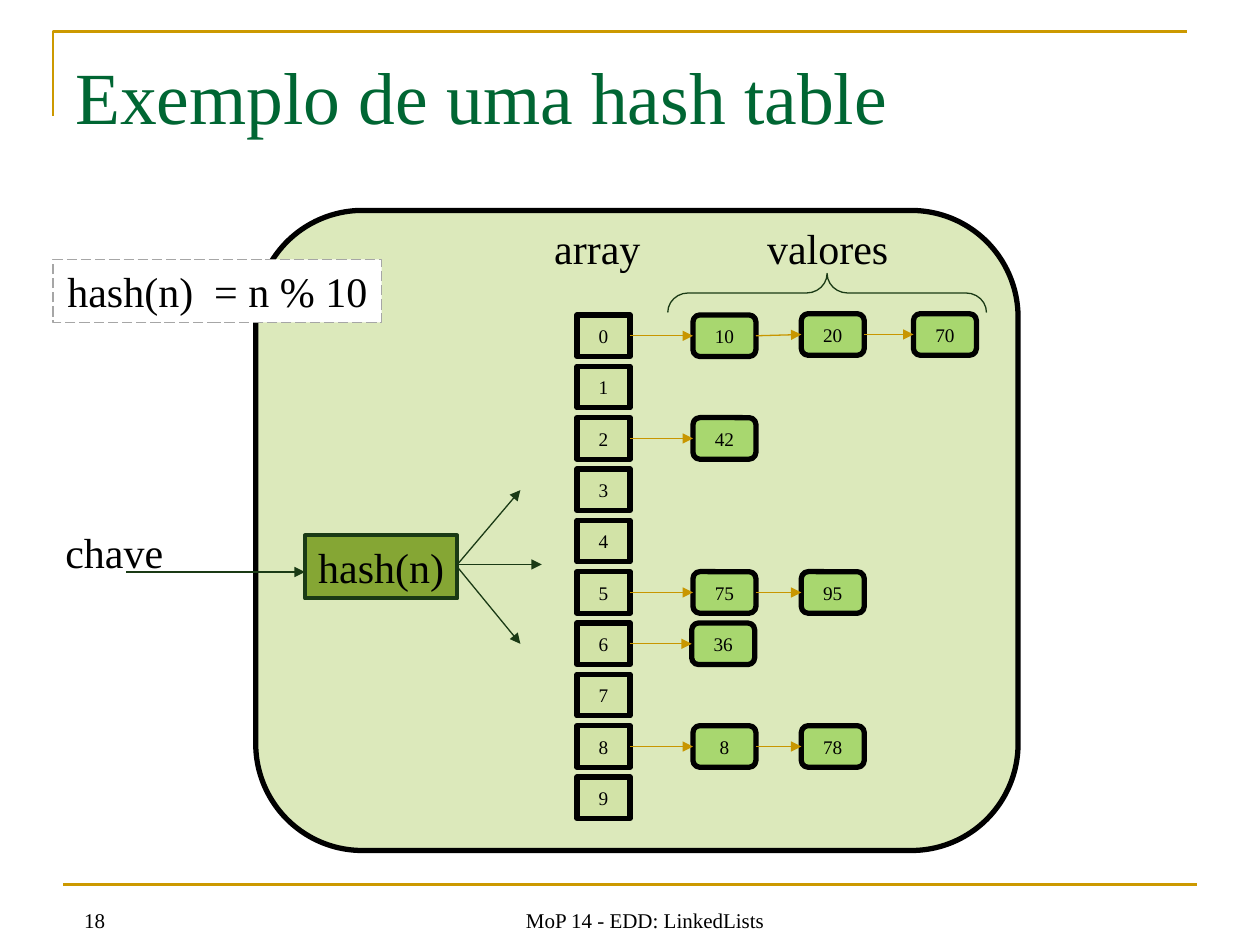
import pptx
import pptx.util
import pptx.dml.color
import pptx.enum.dml
import pptx.enum.shapes
import pptx.enum.text
import pptx.oxml
import pptx.oxml.ns
from pptx.util import Inches

SHAPES = pptx.enum.shapes.MSO_SHAPE
ALIGN = pptx.enum.text.PP_ALIGN
ANCHOR = pptx.enum.text.MSO_ANCHOR
BLACK, GOLD, DARK_GREEN = "000000", "C89600", "1A3A15"
PALE_GREEN, BRIGHT_GREEN = "CEE19F", "92D050"

presentation = pptx.Presentation()
presentation.slide_width = Inches(10)
presentation.slide_height = Inches(7.5)
slide = presentation.slides.add_slide(presentation.slide_layouts[6])


def color(value):
    return pptx.dml.color.RGBColor.from_string(value)


def add_item(kind, box, fill=None, line=None, width=0.75, text="", size=24,
             text_color=BLACK, align=ALIGN.CENTER, anchor=ANCHOR.MIDDLE,
             alpha=None, wrap=False):
    """Add a preset shape, or a text box when kind is None."""
    box = [Inches(length) for length in box]
    if kind is None:
        shape = slide.shapes.add_textbox(*box)
    else:
        shape = slide.shapes.add_shape(kind, *box)
        shape.shadow.inherit = False
    if fill:
        shape.fill.solid()
        shape.fill.fore_color.rgb = color(fill)
        if alpha:
            fill_color = shape.fill._xPr.find(".//" + pptx.oxml.ns.qn("a:srgbClr"))
            fill_color.append(pptx.oxml.parse_xml(
                f'<a:alpha {pptx.oxml.ns.nsdecls("a")} val="{alpha * 1000}"/>'))
    else:
        shape.fill.background()
    if line:
        shape.line.color.rgb = color(line)
        shape.line.width = pptx.util.Pt(width)
    if text:
        frame = shape.text_frame
        frame.word_wrap = wrap
        frame.vertical_anchor = anchor
        paragraph = frame.paragraphs[0]
        paragraph.alignment = align
        run = paragraph.add_run()
        run.text = text
        run.font.name = "Times New Roman"
        run.font.size = pptx.util.Pt(size)
        run.font.color.rgb = color(text_color)
    return shape


def add_line(start, end, line, width=0.75, arrow=True):
    """Add a straight connector, with an arrowhead at its end by default."""
    connector = slide.shapes.add_connector(
        pptx.enum.shapes.MSO_CONNECTOR.STRAIGHT,
        *[Inches(length) for length in (*start, *end)])
    connector.line.color.rgb = color(line)
    connector.line.width = pptx.util.Pt(width)
    namespace = pptx.oxml.ns.nsdecls("a")
    if arrow:
        connector.line._get_or_add_ln().append(
            pptx.oxml.parse_xml(f'<a:tailEnd {namespace} type="triangle"/>'))
    connector._element.spPr.append(pptx.oxml.parse_xml(f"<a:effectLst {namespace}/>"))


# Frame lines
add_line((0.5, 7.02), (9.5, 7.02), "CC9900", 1.5, arrow=False)
builder = slide.shapes.build_freeform(Inches(0.42), Inches(0.92), scale=1.0)
builder.add_line_segments(
    [(Inches(0.42), Inches(0.25)), (Inches(9.42), Inches(0.25))], close=False)
corner = builder.convert_to_shape()
corner.shadow.inherit = False
corner.fill.background()
corner.line.color.rgb = color("CC9900")
corner.line.width = pptx.util.Pt(1.5)

# Title, slide number and footer
add_item(None, (0.5, 0.3, 9, 0.85), text="Exemplo de uma hash table", size=42,
         text_color="006633", align=ALIGN.LEFT, anchor=ANCHOR.BOTTOM, wrap=True)
add_item(None, (0.57, 7.15, 0.38, 0.3), text="18", size=12,
         align=ALIGN.LEFT, anchor=ANCHOR.TOP)
add_item(None, (3.08, 7.1, 4.08, 0.35), text="MoP 14 - EDD: LinkedLists", size=12,
         anchor=ANCHOR.BOTTOM, wrap=True)

# Hash table container
add_item(SHAPES.ROUNDED_RECTANGLE, (2.03, 1.67, 6.05, 5.08), PALE_GREEN, BLACK, 3,
         alpha=70)

# Array cells
array_left, array_width, cell_height = 4.58, 0.42, 0.33
array_top, row_pitch = 2.5, 0.4075
for index in range(10):
    add_item(SHAPES.RECTANGLE,
             (array_left, array_top + index * row_pitch, array_width, cell_height),
             PALE_GREEN, BLACK, 3, str(index), 11, alpha=70)

# Chained values: array index -> (value, left, vertical offset)
chains = {
    0: [("10", 5.5, 0), ("20", 6.36, -0.01), ("70", 7.25, -0.01)],
    2: [("42", 5.5, 0)],
    5: [("75", 5.5, 0), ("95", 6.36, 0)],
    6: [("36", 5.49, 0)],
    8: [("8", 5.5, 0), ("78", 6.36, 0)],
}
value_width = 0.5
for index, chain in chains.items():
    row_top = array_top + index * row_pitch
    previous = (array_left + array_width, row_top + cell_height / 2)
    for value, left, offset in chain:
        top = row_top + offset
        middle = top + cell_height / 2
        add_item(SHAPES.ROUNDED_RECTANGLE, (left, top, value_width, cell_height),
                 BRIGHT_GREEN, BLACK, 3, value, 11, alpha=70)
        add_line(previous, (left, middle), GOLD)
        previous = (left + value_width, middle)

# Hash function definition and box
definition = add_item(SHAPES.RECTANGLE, (0.42, 2.06, 2.61, 0.5), "FFFFFF", "A6A6A6",
                      text="hash(n)  = n % 10")
definition.line.dash_style = pptx.enum.dml.MSO_LINE.LONG_DASH
add_item(SHAPES.RECTANGLE, (2.42, 4.25, 1.21, 0.5), "85A634", DARK_GREEN, 2.25,
         "hash(n)")

# Arrows into and out of the hash function
for start, end in [((1, 4.54), (2.42, 4.54)), ((3.63, 4.48), (4.3, 4.48)),
                   ((3.63, 4.48), (4.13, 3.89)), ((3.63, 4.5), (4.13, 5.11))]:
    add_line(start, end, DARK_GREEN)

# Labels
for label, left, top, width in [("chave", 0.42, 4.13, 0.99),
                                ("array", 4.3, 1.72, 0.89),
                                ("valores", 5.99, 1.72, 1.17)]:
    add_item(None, (left, top, width, 0.5), text=label, align=ALIGN.LEFT)

# Brace over the values
brace = add_item(SHAPES.RIGHT_BRACE, (6.41, 1.06, 0.31, 2.53), line=DARK_GREEN)
brace.rotation = 270
brace.adjustments[0] = 0.525
brace.adjustments[1] = 0.5

presentation.save("out.pptx")
